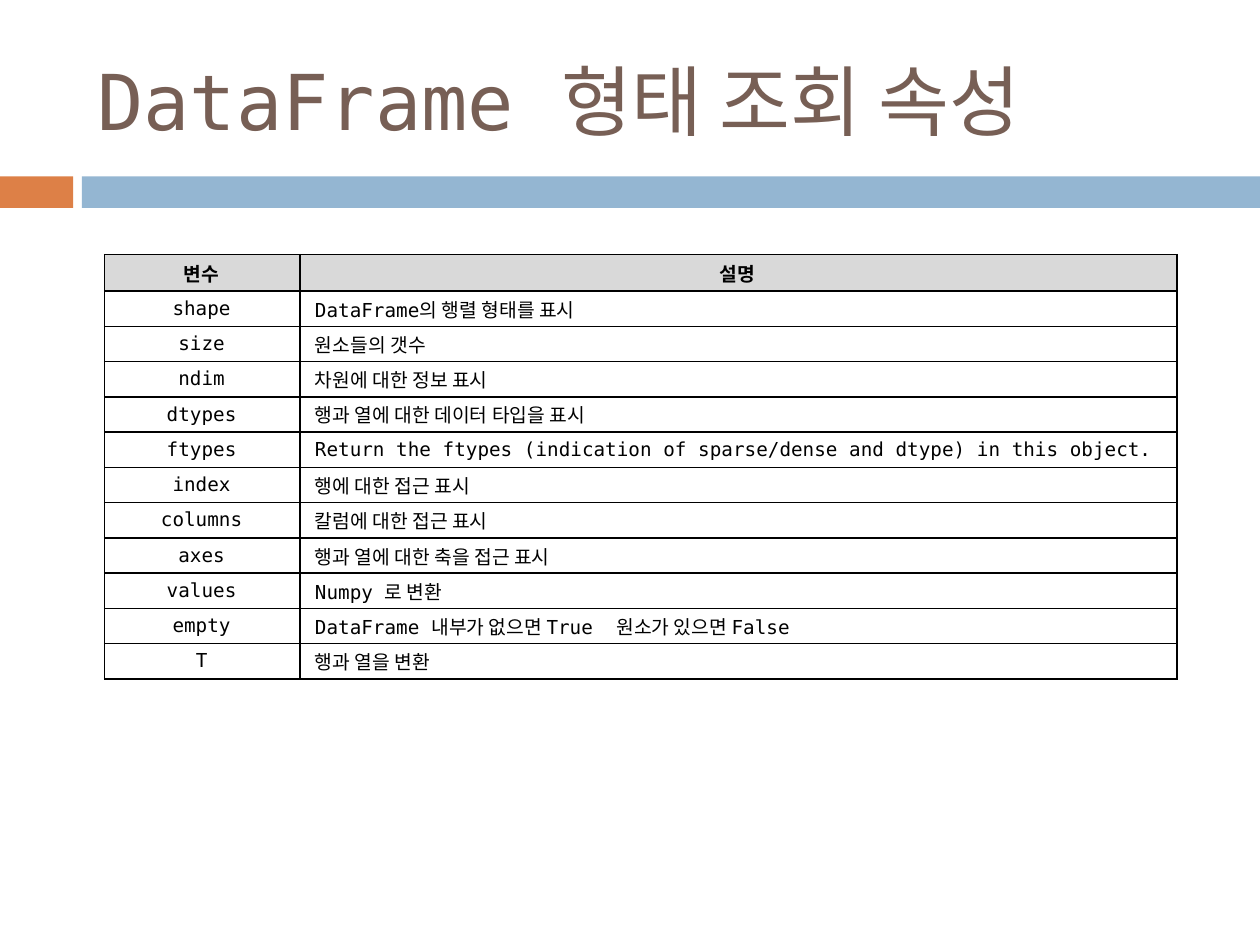
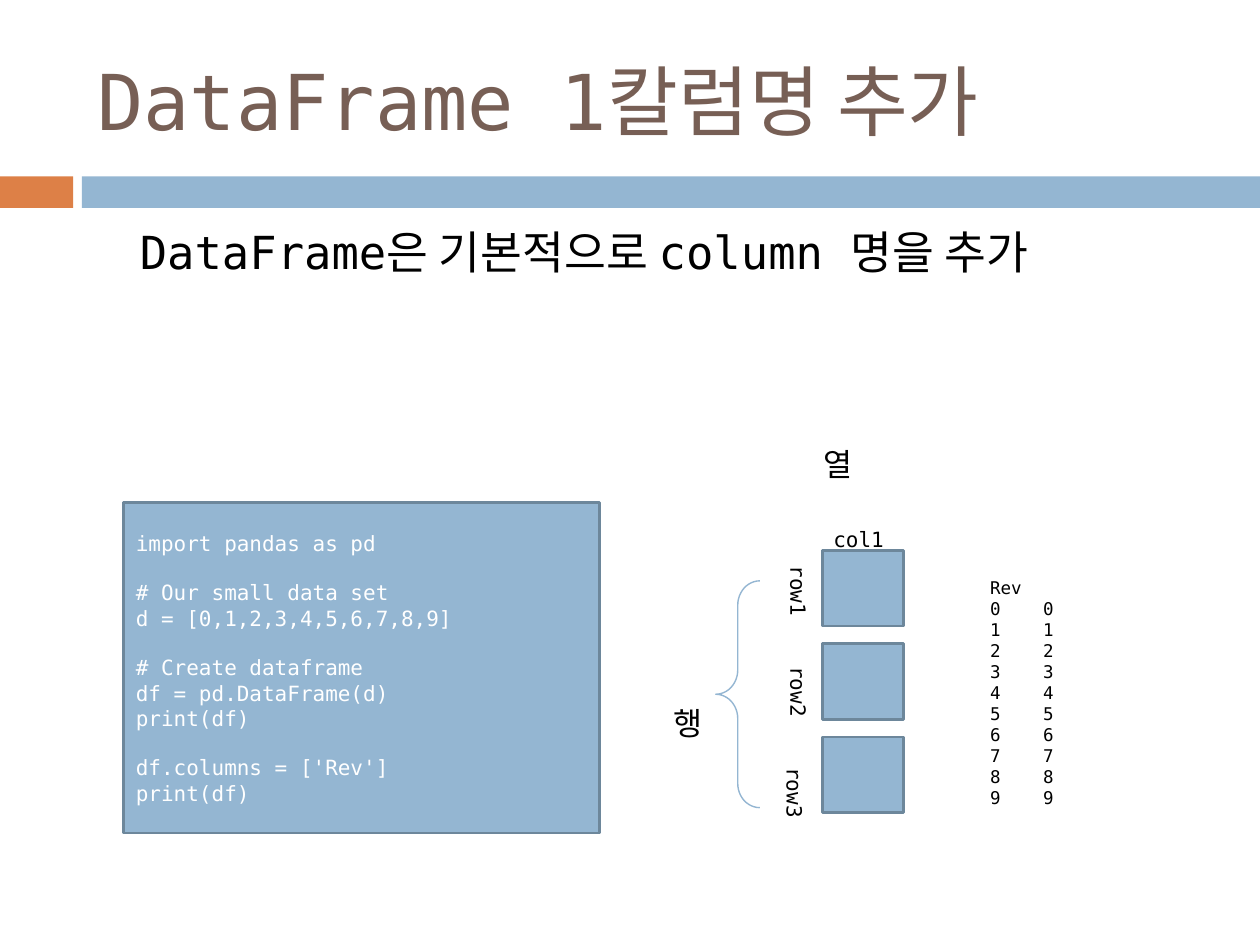
from lxml import etree
from pptx import Presentation
from pptx.dml.color import RGBColor
from pptx.enum.shapes import MSO_SHAPE
from pptx.enum.text import MSO_ANCHOR, MSO_AUTO_SIZE, PP_ALIGN
from pptx.oxml.ns import qn
from pptx.util import Inches, Pt

RECTANGLE, BRACE = MSO_SHAPE.RECTANGLE, MSO_SHAPE.RIGHT_BRACE
LEFT, CENTER = PP_ALIGN.LEFT, PP_ALIGN.CENTER
MIDDLE, TOP = MSO_ANCHOR.MIDDLE, MSO_ANCHOR.TOP
NO_FIT, GROW = MSO_AUTO_SIZE.NONE, MSO_AUTO_SIZE.SHAPE_TO_FIT_TEXT

FONT = "DejaVu Sans Mono"
BROWN = RGBColor(0x77, 0x5F, 0x55)
ORANGE = RGBColor(0xDD, 0x80, 0x47)
BLUE = RGBColor(0x94, 0xB6, 0xD2)
DARK_BLUE = RGBColor(0x6D, 0x87, 0x9B)
GRAY = RGBColor(0xD9, 0xD9, 0xD9)
WHITE = RGBColor(0xFF, 0xFF, 0xFF)
BLACK = RGBColor(0, 0, 0)

presentation = Presentation()
presentation.slide_width = Inches(10)
presentation.slide_height = Inches(7.5)

# The slide is a grid of 100 columns and 75 rows
COLUMN = presentation.slide_width / 100
ROW = presentation.slide_height / 75


def box(left, top, width, height):
    """Turn grid columns and rows into slide lengths."""
    return int(left * COLUMN), int(top * ROW), int(width * COLUMN), int(height * ROW)


def write(paragraph, text, size, color=BLACK, align=LEFT, bold=False):
    """Add one formatted run to a paragraph."""
    paragraph.alignment = align
    run = paragraph.add_run()
    run.text = text
    run.font.name = FONT
    run.font.size = Pt(size)
    run.font.bold = bold
    run.font.color.rgb = color


# Shared title and bands
TITLE_ONLY, TITLE_AND_CONTENT = 5, 1
BANDS = [(0, 5.8, ORANGE), (6.5, 93.5, BLUE)]
slides = []
for layout, title in [
    (TITLE_ONLY, "DataFrame 형태 조회 속성"),
    (TITLE_AND_CONTENT, "DataFrame 1칼럼명 추가"),
]:
    slide = presentation.slides.add_slide(presentation.slide_layouts[layout])
    slides.append(slide)
    shape = slide.shapes.title
    shape.left, shape.top, shape.width, shape.height = box(6.7, 2.5, 89.2, 10.8)
    shape.text_frame.vertical_anchor = MIDDLE
    shape.text_frame.auto_size = NO_FIT
    write(shape.text_frame.paragraphs[0], title, 44, BROWN)
    for left, width, color in BANDS:
        band = slide.shapes.add_shape(RECTANGLE, *box(left, 14, width, 2.5))
        band.shadow.inherit = False
        band.fill.solid()
        band.fill.fore_color.rgb = color
        band.line.fill.background()

table_slide, column_slide = slides

# Slide 1: table of attributes
ATTRIBUTES = [
    ("변수", "설명"),
    ("shape", "DataFrame의 행렬 형태를 표시"),
    ("size", "원소들의 갯수"),
    ("ndim", "차원에 대한 정보 표시"),
    ("dtypes", "행과 열에 대한 데이터 타입을 표시"),
    ("ftypes", "Return the ftypes (indication of sparse/dense and dtype) in this object."),
    ("index", "행에 대한 접근 표시"),
    ("columns", "칼럼에 대한 접근 표시"),
    ("axes", "행과 열에 대한 축을 접근 표시"),
    ("values", "Numpy 로 변환"),
    ("empty", "DataFrame 내부가 없으면 True  원소가 있으면 False"),
    ("T", "행과 열을 변환"),
]
table = table_slide.shapes.add_table(
    len(ATTRIBUTES), 2, *box(8.3, 20.2, 85.1, 2.8 * len(ATTRIBUTES))
).table
table.columns[0].width = int(15.5 * COLUMN)
table.columns[1].width = int(69.6 * COLUMN)
for row_index, texts in enumerate(ATTRIBUTES):
    header = row_index == 0
    table.rows[row_index].height = int((2.9 if header else 2.8) * ROW)
    for column_index, text in enumerate(texts):
        described = column_index == 1 and not header
        cell = table.cell(row_index, column_index)
        cell.vertical_anchor = MIDDLE
        cell.margin_left = Inches(0.12 if described else 0.03)
        cell.margin_right = Inches(0.04)
        cell.margin_top = cell.margin_bottom = Inches(0.01)
        write(cell.text_frame.paragraphs[0], text, 11,
              align=LEFT if described else CENTER, bold=header)
        properties = cell._tc.get_or_add_tcPr()
        for side in ("a:lnL", "a:lnR", "a:lnT", "a:lnB"):
            border = etree.SubElement(properties, qn(side), w=str(Pt(1)))
            fill = etree.SubElement(border, qn("a:solidFill"))
            etree.SubElement(fill, qn("a:srgbClr"), val=str(BLACK))
        cell.fill.solid()
        cell.fill.fore_color.rgb = GRAY if header else WHITE

# Slide 2: body text
body = column_slide.placeholders[1]
body.left, body.top, body.width, body.height = box(5.1, 17.3, 90, 10)
body.text_frame.auto_size = NO_FIT
paragraph = body.text_frame.paragraphs[0]
write(paragraph, "DataFrame은 기본적으로 column 명을 추가", 26)
paragraph.space_before = Pt(5.5)
properties = paragraph._p.get_or_add_pPr()
properties.set("marL", str(Inches(0.5)))
properties.set("indent", "0")
etree.SubElement(properties, qn("a:buNone"))

# Code panel and the three cells of the column
CODE_BLOCKS = [
    ["import pandas as pd"],
    ["# Our small data set", "d = [0,1,2,3,4,5,6,7,8,9]"],
    ["# Create dataframe", "df = pd.DataFrame(d)", "print(df)"],
    ["df.columns = ['Rev']", "print(df)"],
]
CELL_PITCH = 7.4
panels = [(9.8, 39.9, 37.8, 26.2)]
panels += [(65.3, 43.7 + index * CELL_PITCH, 6.4, 6) for index in range(3)]
for index, place in enumerate(panels):
    panel = column_slide.shapes.add_shape(RECTANGLE, *box(*place))
    panel.shadow.inherit = False
    panel.fill.solid()
    panel.fill.fore_color.rgb = BLUE
    panel.line.color.rgb = DARK_BLUE
    panel.line.width = Pt(1.5)
    if index == 0:
        code_frame = panel.text_frame

paragraph = code_frame.paragraphs[0]
for block_index, block in enumerate(CODE_BLOCKS):
    for line_index, line in enumerate(block):
        if block_index or line_index:
            paragraph = code_frame.add_paragraph()
        if block_index and line_index == 0:
            paragraph.space_before = Pt(14)
        write(paragraph, line, 12, WHITE)

# Brace beside the rows
brace = column_slide.shapes.add_shape(BRACE, *box(56.8, 46.1, 3.5, 18))
brace.rotation = 180
brace.adjustments[0] = 0.55
brace.adjustments[1] = 0.5
brace.shadow.inherit = False
brace.fill.background()
brace.line.color.rgb = BLUE
brace.line.width = Pt(0.79)

# Labels: text, place, size, alignment, vertical
LABELS = [
    ("행", (52.5, 55.4, 5.7, 3.4), 18, LEFT, False),
    ("열", (64.4, 34.8, 5.7, 4), 18, LEFT, False),
    ("col1", (64.6, 41.3, 7.1, 2.6), 12, CENTER, False),
]
for index, left in enumerate((61.3, 61.3, 61)):
    LABELS.append((f"row{index + 1}", (left, 43.9 + index * 8, 3.6, 4.3), 12, LEFT, True))
for text, place, size, align, vertical in LABELS:
    frame = column_slide.shapes.add_textbox(*box(*place)).text_frame
    frame.word_wrap = not vertical
    frame.auto_size = GROW
    if vertical:
        frame._txBody.bodyPr.set("vert", "eaVert")
    write(frame.paragraphs[0], text, size, align=align)

# Printed data frame, its values on a tab stop
frame = column_slide.shapes.add_textbox(*box(77.6, 43.7, 7.1, 19.5)).text_frame
frame.word_wrap = True
frame.vertical_anchor = TOP
frame.margin_top = Inches(0.21)
for index, line in enumerate(["Rev"] + [f"{value}\t{value}" for value in range(10)]):
    paragraph = frame.add_paragraph() if index else frame.paragraphs[0]
    write(paragraph, line, 10)
    tabs = etree.SubElement(paragraph._p.get_or_add_pPr(), qn("a:tabLst"))
    etree.SubElement(tabs, qn("a:tab"), pos=str(Inches(0.42)), algn="l")

presentation.save("out.pptx")
